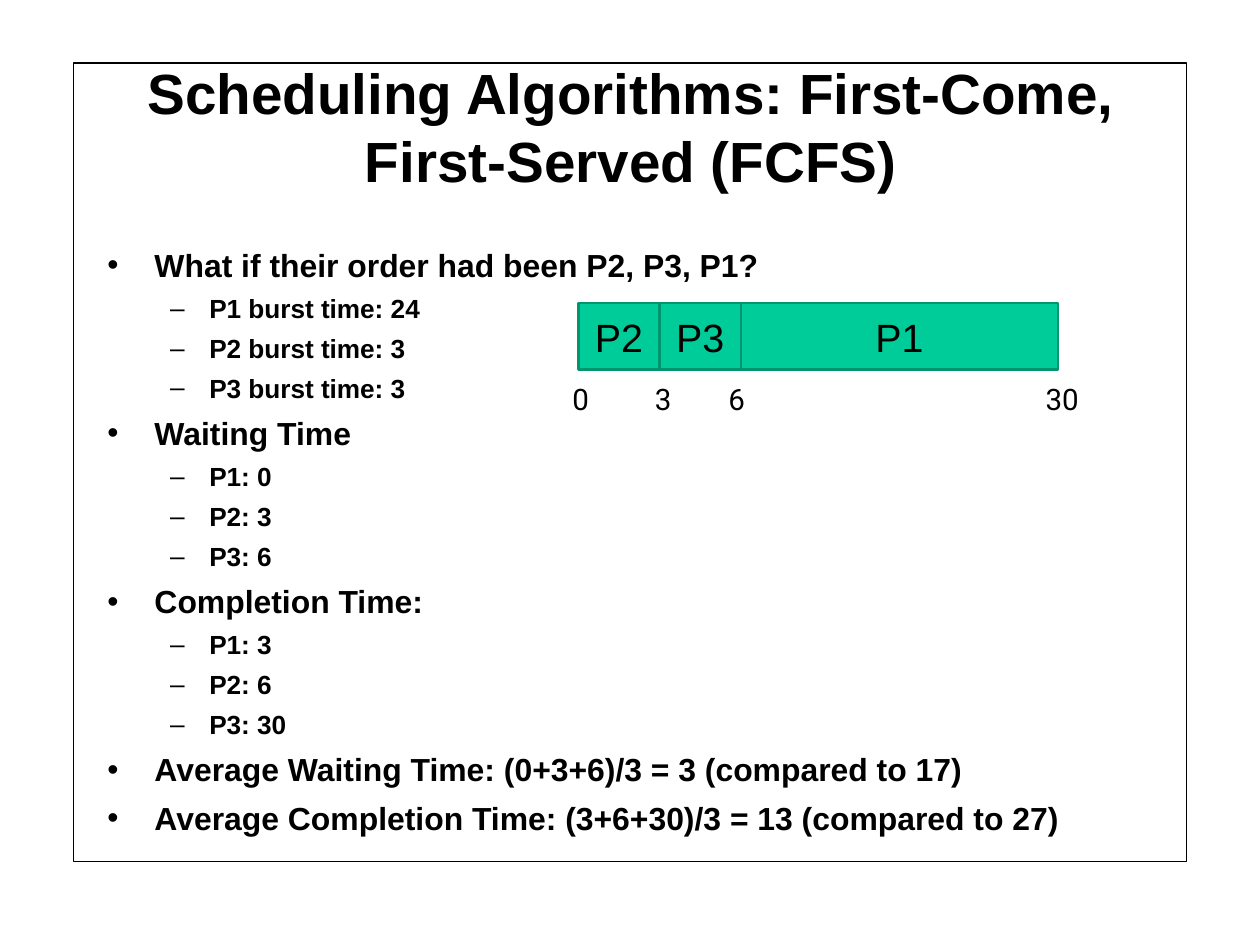
from lxml import etree
from pptx import Presentation
from pptx import util as u
from pptx.dml.color import RGBColor
from pptx.enum import shapes, text
from pptx.oxml.ns import qn

COLOURS = {"ink": "000000", "bar": "00CC99", "bar_edge": "00956F"}

OUTLINE = [
    ("What if their order had been P2, P3, P1?",
     ["P1 burst time: 24", "P2 burst time: 3", "P3 burst time: 3"]),
    ("Waiting Time", ["P1: 0", "P2: 3", "P3: 6"]),
    ("Completion Time:", ["P1: 3", "P2: 6", "P3: 30"]),
    ("Average Waiting Time: (0+3+6)/3 = 3 (compared to 17)", []),
    ("Average Completion Time: (3+6+30)/3 = 13 (compared to 27)", []),
]
LEVELS = [
    {"mark": "•", "size": 25.9, "before": 8.2, "margin": 1.35, "hang": 1.35},
    {"mark": "–", "size": 21.3, "before": 6.9, "margin": 2.92, "hang": 1.12},
]
BURSTS = [("P2", 2.33), ("P3", 2.33), ("P1", 9.09)]
TIMES = [("0", 16.65), ("3", 19.01), ("6", 21.12), ("30", 30.45)]
TIMELINE_LEFT = 16.58


class Deck:
    """Holds the slide and the style shared by its elements."""

    def __init__(self, width, height):
        self.prs = Presentation()
        self.prs.slide_width, self.prs.slide_height = u.Cm(width), u.Cm(height)
        self.slide = self.prs.slides.add_slide(self.prs.slide_layouts[5])

    def colour(self, name):
        return RGBColor.from_string(COLOURS[name])

    def style(self, paragraph, size, font="Arial", bold=False):
        paragraph.font.size = u.Pt(size)
        paragraph.font.name = font
        paragraph.font.bold = bold
        paragraph.font.color.rgb = self.colour("ink")

    def centred(self, frame, words, size, font="Arial", bold=False, wrap=False):
        frame.text = words
        frame.word_wrap = wrap
        frame.auto_size = text.MSO_AUTO_SIZE.NONE
        frame.vertical_anchor = text.MSO_ANCHOR.MIDDLE
        frame.paragraphs[0].alignment = text.PP_ALIGN.CENTER
        self.style(frame.paragraphs[0], size, font, bold)

    def inset(self, frame):
        frame.margin_left = frame.margin_right = u.Cm(0.36)
        frame.margin_top = frame.margin_bottom = u.Cm(0.18)

    def title(self, words, *box):
        heading = self.slide.shapes.title
        heading.left, heading.top, heading.width, heading.height = map(u.Cm, box)
        self.centred(heading.text_frame, words, 46, bold=True, wrap=True)
        self.inset(heading.text_frame)

    def rectangle(self, box, line, width, fill=None):
        rect = self.slide.shapes.add_shape(
            shapes.MSO_SHAPE.RECTANGLE, *map(u.Cm, box))
        rect.shadow.inherit = False
        rect.line.color.rgb = self.colour(line)
        rect.line.width = u.Pt(width)
        if fill:
            rect.fill.solid()
            rect.fill.fore_color.rgb = self.colour(fill)
        else:
            rect.fill.background()
        return rect

    def bar(self, words, *box):
        burst = self.rectangle(box, "bar_edge", 2, "bar")
        self.centred(burst.text_frame, words, 32)

    def label(self, words, *box):
        mark = self.slide.shapes.add_textbox(*map(u.Cm, box))
        self.centred(mark.text_frame, words, 24, "Roboto")

    def bullet(self, paragraph, level):
        look = LEVELS[level]
        paragraph.level = level
        props = paragraph._p.get_or_add_pPr()
        props.set("marL", str(u.Cm(look["margin"])))
        props.set("indent", str(-u.Cm(look["hang"])))
        tint = etree.SubElement(props, qn("a:buClr"))
        etree.SubElement(tint, qn("a:srgbClr"), val=COLOURS["ink"])
        etree.SubElement(props, qn("a:buFont"), typeface="Arial")
        etree.SubElement(props, qn("a:buChar"), char=look["mark"])
        self.style(paragraph, look["size"], bold=True)

    def outline(self, topics, *box):
        frame = self.slide.shapes.add_textbox(*map(u.Cm, box)).text_frame
        frame.word_wrap = True
        self.inset(frame)
        lines = [(words, level) for topic, details in topics
                 for words, level in [(topic, 0)] + [(d, 1) for d in details]]
        for i, (words, level) in enumerate(lines):
            paragraph = frame.add_paragraph() if i else frame.paragraphs[0]
            paragraph.text = words
            self.bullet(paragraph, level)
            if i:
                paragraph.space_before = u.Pt(LEVELS[level]["before"])


def main():
    deck = Deck(36.12, 27.08)
    deck.rectangle((2.11, 1.8, 31.9, 22.89), "ink", 1.25)
    deck.title("Scheduling Algorithms: First-Come, First-Served (FCFS)",
               2.72, 1.35, 30.71, 4.52)
    deck.outline(OUTLINE, 2.72, 6.86, 30.71, 16.51)
    start = TIMELINE_LEFT
    for process, width in BURSTS:
        deck.bar(process, start, 8.69, width, 1.9)
        start += width
    for time, centre in TIMES:
        width = 0.5 + 0.49 * len(time)
        deck.label(time, centre - width / 2, 10.8, width, 1.27)
    deck.prs.save("out.pptx")


if __name__ == "__main__":
    main()
